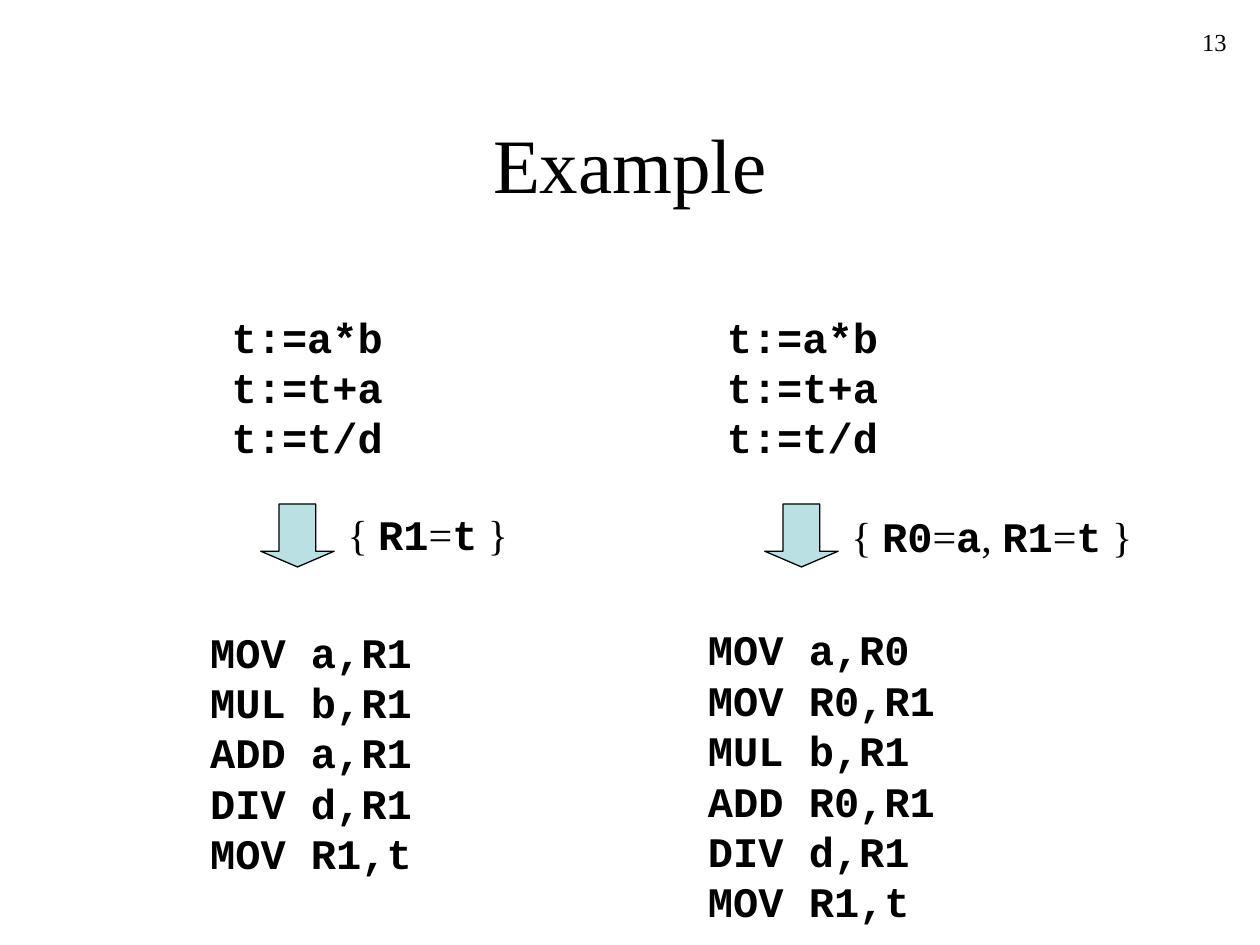
import pptx
import pptx.util
import pptx.dml.color
import pptx.enum.shapes
import pptx.enum.text

Pt = pptx.util.Pt
ALIGN = pptx.enum.text.PP_ALIGN
SERIF, MONO = "Times New Roman", "Courier New"


def color(code):
    return pptx.dml.color.RGBColor.from_string(code)


def write(frame, text, size=24, ink="000000", align=ALIGN.LEFT):
    """Fill the frame; parts between backticks are set in bold code type."""
    para = frame.paragraphs[0]
    para.alignment = align
    for i, part in enumerate(text.split("`")):
        code = i % 2 == 1
        for j, line in enumerate(part.split("\n")):
            if j:
                para.add_line_break()
            if line:
                run = para.add_run()
                run.text = line
                font = run.font
                font.name = MONO if code else SERIF
                font.size = Pt(size)
                font.bold = code
                font.color.rgb = color(ink)


class Page:
    fill, line = "BBE0E3", "000000"

    def __init__(self, deck):
        self.slide = deck.slides.add_slide(deck.slide_layouts[5])

    def title(self, text, x, y, w, h):
        box = self.slide.shapes.title
        box.left, box.top, box.width, box.height = map(Pt, (x, y, w, h))
        box.text_frame.vertical_anchor = pptx.enum.text.MSO_ANCHOR.MIDDLE
        write(box.text_frame, text, size=44, align=ALIGN.CENTER)

    def text(self, text, x, y, w, h, wrap=False, **style):
        box = self.slide.shapes.add_textbox(*map(Pt, (x, y, w, h)))
        frame = box.text_frame
        frame.word_wrap = wrap
        if not wrap:
            frame.auto_size = pptx.enum.text.MSO_AUTO_SIZE.SHAPE_TO_FIT_TEXT
        write(frame, text, **style)

    def arrow(self, x, y, w, h):
        kind = pptx.enum.shapes.MSO_SHAPE.DOWN_ARROW
        shape = self.slide.shapes.add_shape(kind, *map(Pt, (x, y, w, h)))
        shape.adjustments[0] = 0.5
        shape.adjustments[1] = 0.25
        shape.shadow.inherit = False
        shape.fill.solid()
        shape.fill.fore_color.rgb = color(self.fill)
        shape.line.color.rgb = color(self.line)
        shape.line.width = Pt(0.75)


def main():
    deck = pptx.Presentation()
    deck.slide_width, deck.slide_height = Pt(720), Pt(540)
    page = Page(deck)
    page.text("13", 558, 12, 150, 36, wrap=True, size=14, align=ALIGN.RIGHT)
    page.title("Example", 54, 48, 612, 90)

    source = "`t:=a*b\nt:=t+a\nt:=t/d`"
    left = "`MOV a,R1\nMUL b,R1\nADD a,R1\nDIV d,R1\nMOV R1,t`"
    right = "`MOV a,R0\nMOV R0,R1\nMUL b,R1\nADD R0,R1\nDIV d,R1\nMOV R1,t`"
    # arrow left, source left, state and its box, target and its box
    columns = [
        (149, 125.25, "{ `R1`=`t` }", (191.5, 287.25, 106, 36),
         left, (113, 354.25, 129.5, 151)),
        (437, 408.25, "{ `R0`=`a`, `R1`=`t` }", (479.5, 288, 175, 36),
         right, (397.5, 353, 144, 180)),
    ]
    for x, start, state, spot, target, place in columns:
        page.text(source, start, 174.25, 101, 93.5)
        page.arrow(x, 288, 42, 36)
        page.text(state, *spot)
        page.text(target, *place)
    deck.save("out.pptx")


if __name__ == "__main__":
    main()
